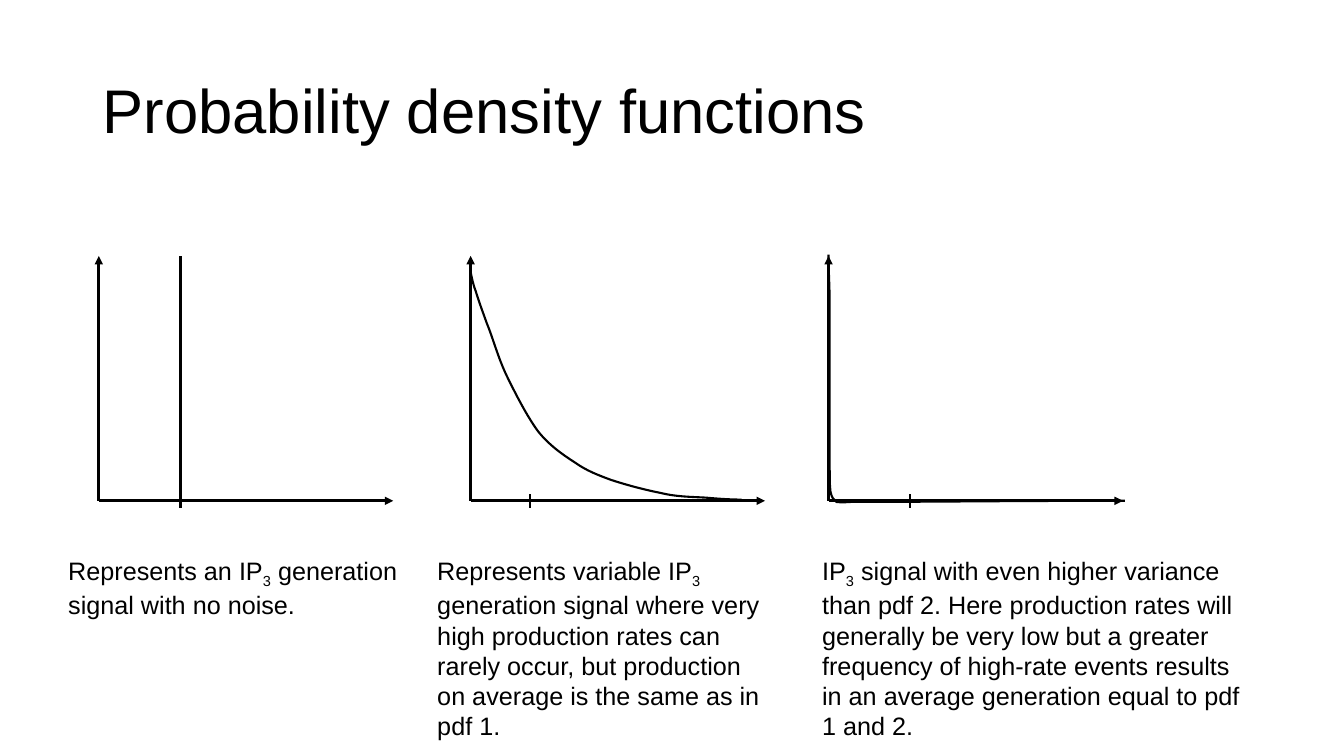
from dataclasses import dataclass

from lxml import etree
from pptx import Presentation
from pptx import util as u
from pptx.dml import color
from pptx.enum import dml, shapes, text
from pptx.oxml import ns


@dataclass(frozen=True)
class Theme:
    ink: color.RGBColor = color.RGBColor(0, 0, 0)
    font: str = "Arial"
    title_size: u.Pt = u.Pt(44)
    caption_size: u.Pt = u.Pt(18)
    axis_width: u.Pt = u.Pt(2)
    curve_width: u.Pt = u.Pt(1.5)


@dataclass(frozen=True)
class Density:
    origin_x: float
    mean: float
    mean_height: float
    curve: tuple
    caption_left: float
    caption_width: float
    caption: tuple


THEME = Theme()
ORIGIN_Y, AXIS_HEIGHT, AXIS_WIDTH = 12.62, 6.17, 7.42
TICK = 0.17
CAPTION_TOP = 13.87

DECAY = (
    (0, 5.77), (0.03, 5.64), (0.05, 5.49), (0.13, 5.28),
    (0.2, 5.05), (0.28, 4.83), (0.41, 4.47),
    (0.56, 4.11), (0.69, 3.61), (0.91, 3.15),
    (1.12, 2.72), (1.42, 2.13), (1.7, 1.75),
    (1.98, 1.4), (2.31, 1.17), (2.62, 0.97),
    (2.92, 0.76), (3.18, 0.66), (3.53, 0.53),
    (3.89, 0.41), (4.37, 0.28), (4.78, 0.2),
    (5.18, 0.1), (5.56, 0.1), (5.92, 0.08),
    (6.25, 0.05), (6.55, 0.03), (6.83, 0.03),
)
SPIKE = (
    (0, 6.2), (0, 5.79), (0.03, 5.41), (0.03, 4.9),
    (0.03, 4.42), (0.03, 3.25), (0.03, 3.25),
    (0.03, 2.59), (0.03, 1.5), (0.03, 1.02),
    (0.03, 0.51), (0.03, 0.41), (0.05, 0.23),
    (0.08, 0.08), (0.13, 0.03), (0.2, -0.03),
    (0.3, -0.05), (0.56, -0.03), (0.56, -0.03),
    (2.51, -0.03), (4.57, 0), (7.47, 0),
)

DENSITIES = (
    Density(2.49, 2.06, AXIS_HEIGHT, (), 1.47, 9.02,
            ("Represents an IP", " generation signal with no noise.")),
    Density(11.86, 1.5, TICK, DECAY, 10.77, 9.02,
            ("Represents variable IP",
             " generation signal where very high production rates can rarely "
             "occur, but production on average is the same as in pdf 1.")),
    Density(20.88, 2.06, TICK, SPIKE, 20.47, 11.07,
            ("IP",
             " signal with even higher variance than pdf 2. Here production "
             "rates will generally be very low but a greater frequency of "
             "high-rate events results in an average generation equal to pdf "
             "1 and 2.")),
)


def style_font(font, size):
    font.name = THEME.font
    font.size = size
    font.color.rgb = THEME.ink


def add_title(page, left, top, width, height):
    title = page.shapes.title
    title.left, title.top = u.Cm(left), u.Cm(top)
    title.width, title.height = u.Cm(width), u.Cm(height)
    frame = title.text_frame
    frame.text = "Probability density functions"
    frame.word_wrap = True
    frame.auto_size = text.MSO_AUTO_SIZE.NONE
    frame.vertical_anchor = text.MSO_ANCHOR.MIDDLE
    para = frame.paragraphs[0]
    para.alignment = text.PP_ALIGN.LEFT
    para.line_spacing = 0.9
    style_font(para.font, THEME.title_size)


def add_line(page, start, end, width, arrow=False):
    line = page.shapes.add_connector(
        shapes.MSO_CONNECTOR.STRAIGHT, *map(u.Cm, start + end))
    line.line.color.rgb = THEME.ink
    line.line.width = width
    if arrow:
        outline = line.line._get_or_add_ln()
        etree.SubElement(outline, ns.qn("a:tailEnd"), type="triangle")
    etree.SubElement(line._element.spPr, ns.qn("a:effectLst"))


def add_curve(page, left, base, points):
    start, *rest = [(u.Cm(left + x), u.Cm(base - y)) for x, y in points]
    builder = page.shapes.build_freeform(*start)
    builder.add_line_segments(rest, close=False)
    curve = builder.convert_to_shape()
    segments = list(curve._element.iter(ns.qn("a:lnTo")))
    for first in range(0, len(segments), 3):
        bezier = etree.Element(ns.qn("a:cubicBezTo"))
        segments[first].addprevious(bezier)
        for segment in segments[first:first + 3]:
            bezier.append(segment[0])
            segment.getparent().remove(segment)
    curve.shadow.inherit = False
    curve.fill.background()
    curve.line.color.rgb = THEME.ink
    curve.line.width = THEME.curve_width
    curve.line.dash_style = dml.MSO_LINE.SOLID


def add_plot(page, left, base, width, height, density):
    origin = (left, base)
    add_line(page, origin, (left, base - height), THEME.axis_width, True)
    add_line(page, origin, (left + width, base), THEME.axis_width, True)
    mean = left + density.mean
    add_line(page, (mean, base + TICK), (mean, base - density.mean_height),
             THEME.curve_width)
    if density.curve:
        add_curve(page, left, base, density.curve)


def add_caption(page, left, top, width, height, wording):
    box = page.shapes.add_textbox(*map(u.Cm, (left, top, width, height)))
    frame = box.text_frame
    frame.word_wrap = True
    frame.auto_size = text.MSO_AUTO_SIZE.SHAPE_TO_FIT_TEXT
    para = frame.paragraphs[0]
    style_font(para.font, THEME.caption_size)
    before, after = wording
    for words in (before, "3", after):
        span = para.add_run()
        span.text = words
        if words == "3":
            span.font._element.set("baseline", "-25000")


def add_density_page(deck):
    page = deck.slides.add_slide(deck.slide_layouts[5])
    add_title(page, 2.33, 1.01, 29.21, 3.68)
    for density in DENSITIES:
        add_plot(page, density.origin_x, ORIGIN_Y, AXIS_WIDTH, AXIS_HEIGHT,
                 density)
        height = 4.88 if density.curve else 1.8
        add_caption(page, density.caption_left, CAPTION_TOP,
                    density.caption_width, height, density.caption)


def main():
    deck = Presentation()
    deck.slide_width, deck.slide_height = u.Cm(33.87), u.Cm(19.05)
    add_density_page(deck)
    deck.save("out.pptx")


if __name__ == "__main__":
    main()
